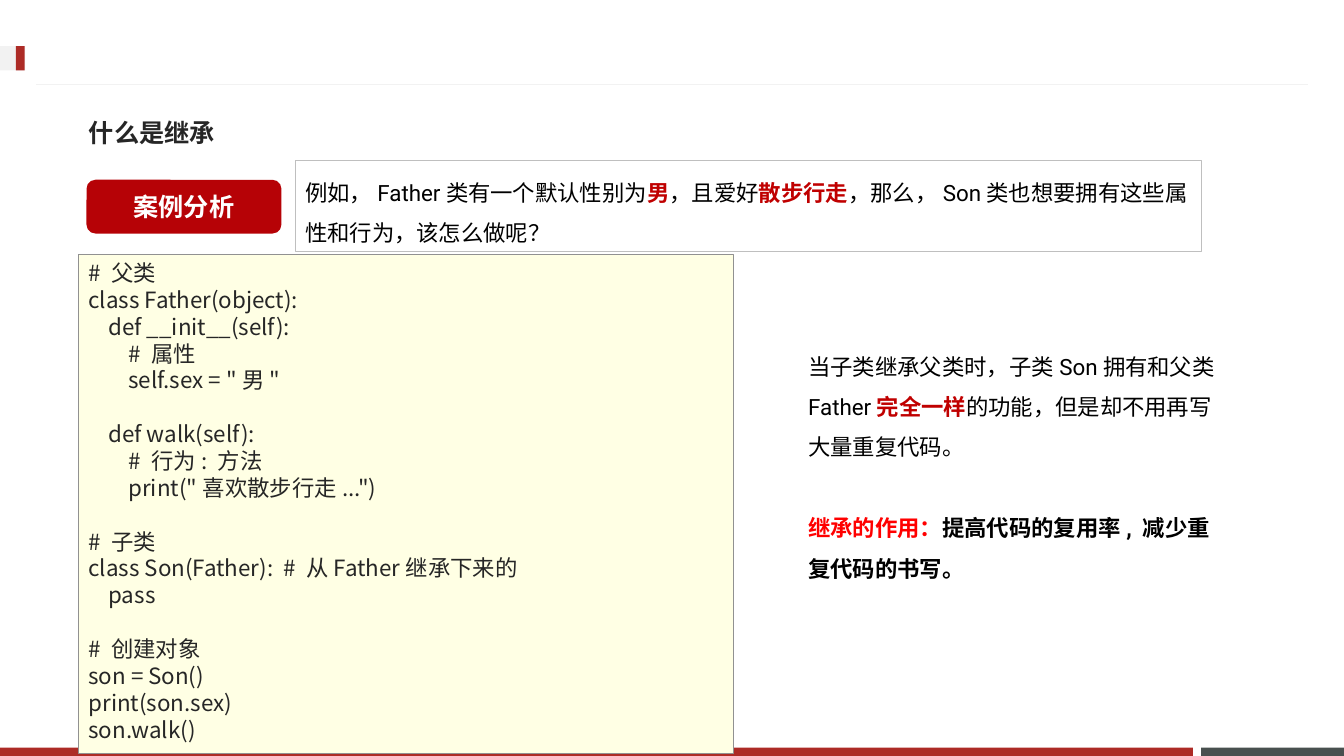
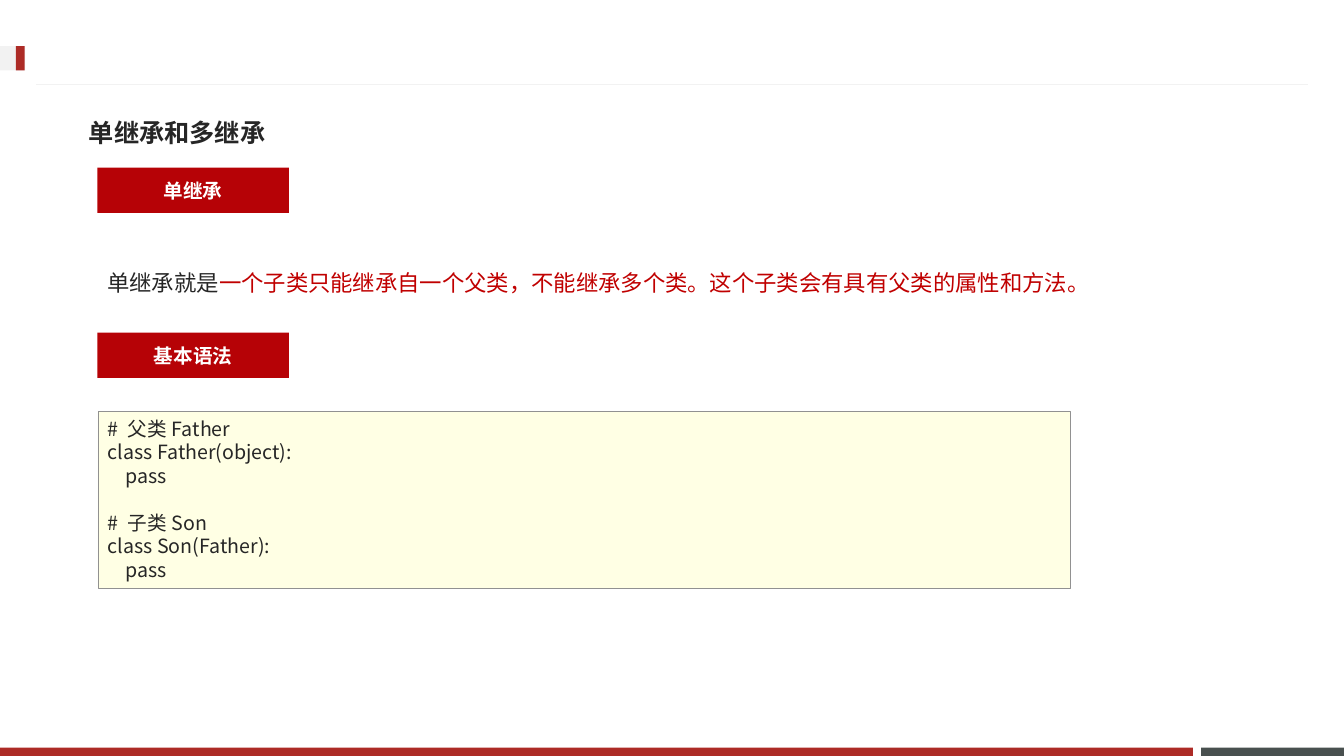
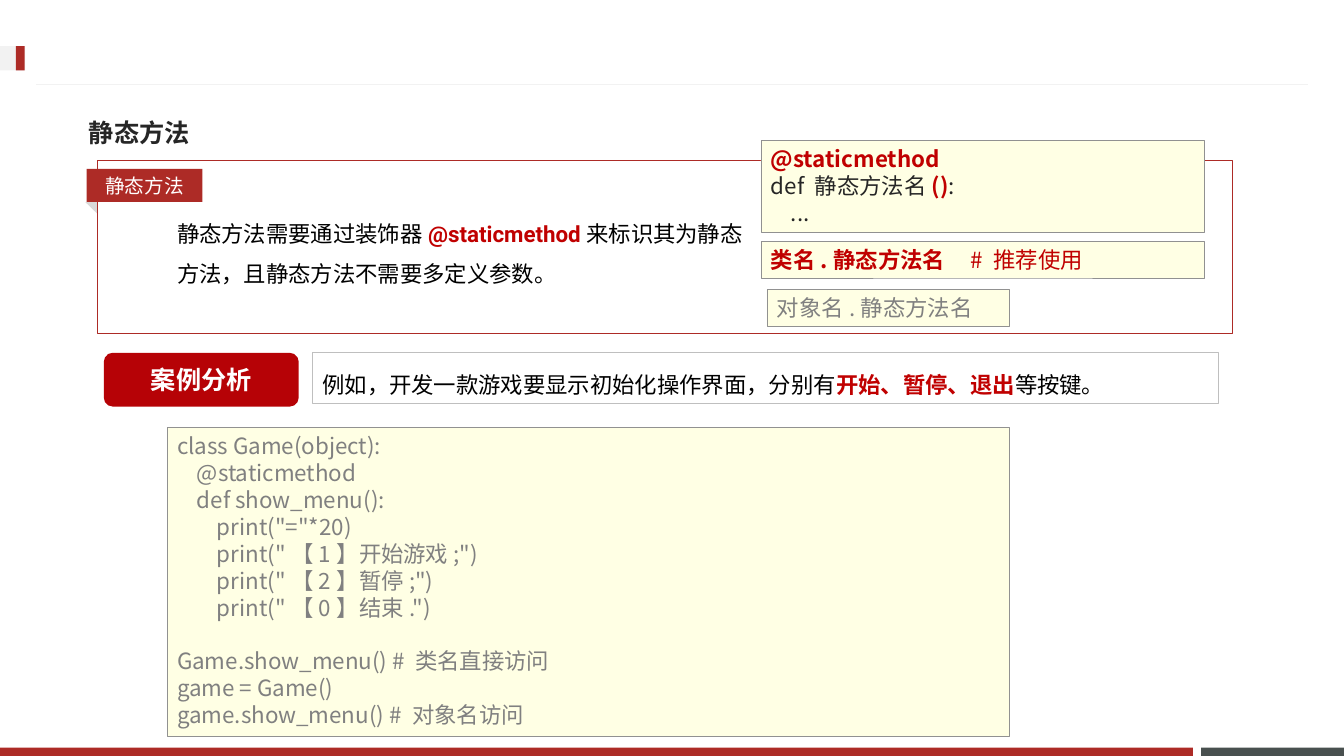
from dataclasses import dataclass
from typing import NamedTuple

from lxml import etree
from pptx import Presentation
from pptx import util as u
from pptx.dml.color import RGBColor
from pptx.enum import shapes, text
from pptx.oxml.ns import qn

# Grid: 160 columns by 90 rows cover the slide
CELL = u.Inches(1) / 12
COLUMNS, ROWS = 160, 90

CJK_FONT = "Noto Sans CJK JP"
LATIN_FONT = "Roboto"

BAND_RED = RGBColor(0xAD, 0x2B, 0x26)
LABEL_RED = RGBColor(0xB6, 0x02, 0x06)
ACCENT_RED = RGBColor(0xC0, 0x00, 0x00)
BRIGHT_RED = RGBColor(0xFF, 0x00, 0x00)
SLATE = RGBColor(0x49, 0x50, 0x4F)
PALE = RGBColor(0xF2, 0xF2, 0xF2)
FOLD_GRAY = RGBColor(0xD9, 0xD9, 0xD9)
BRIEF_LINE = RGBColor(0xBF, 0xBF, 0xBF)
CODE_FILL = RGBColor(0xFF, 0xFF, 0xE4)
CODE_LINE = RGBColor(0x91, 0x91, 0x91)
DARK = RGBColor(0x26, 0x26, 0x26)
GRAY = RGBColor(0x80, 0x80, 0x80)
BLACK = RGBColor(0x00, 0x00, 0x00)
WHITE = RGBColor(0xFF, 0xFF, 0xFF)

RECTANGLE = shapes.MSO_SHAPE.RECTANGLE
ROUNDED = shapes.MSO_SHAPE.ROUNDED_RECTANGLE
TRIANGLE = shapes.MSO_SHAPE.ISOSCELES_TRIANGLE


class Box(NamedTuple):
    """Place and size in grid columns and rows."""
    left: float
    top: float
    width: float
    height: float

    def lengths(self) -> list[u.Emu]:
        return [u.Emu(round(value * CELL)) for value in self]


class Span(NamedTuple):
    text: str
    color: RGBColor | None = None
    bold: bool | None = None


@dataclass(frozen=True)
class TextStyle:
    font: str
    size: float
    color: RGBColor
    bold: bool = False
    spacing: float = 1.0
    gap: float = 0
    align: text.PP_ALIGN = text.PP_ALIGN.LEFT
    anchor: text.MSO_ANCHOR = text.MSO_ANCHOR.TOP


@dataclass(frozen=True)
class Outline:
    color: RGBColor
    width: float


TITLE = TextStyle(CJK_FONT, 18, DARK, bold=True, anchor=text.MSO_ANCHOR.MIDDLE)
BODY = TextStyle(LATIN_FONT, 16, BLACK, spacing=1.5, gap=29)
DEFINITION = TextStyle(CJK_FONT, 16, DARK, spacing=1.5)
CODE = TextStyle(CJK_FONT, 16, DARK)
SMALL_CODE = TextStyle(CJK_FONT, 14, DARK)
GRAY_CODE = TextStyle(CJK_FONT, 16, GRAY)
CENTERED = {"align": text.PP_ALIGN.CENTER, "anchor": text.MSO_ANCHOR.MIDDLE}
BADGE = TextStyle(LATIN_FONT, 18, WHITE, bold=True, **CENTERED)
TAG = TextStyle(LATIN_FONT, 14, WHITE, bold=True, **CENTERED)
RIBBON = TextStyle(LATIN_FONT, 14, WHITE, **CENTERED)

Paragraphs = list[list[Span]]


# Text
def lines(content: str) -> Paragraphs:
    return [[Span(line)] if line else [] for line in content.split("\n")]


def write(shape, paragraphs: Paragraphs, style: TextStyle) -> None:
    frame = shape.text_frame
    frame.word_wrap = True
    frame.vertical_anchor = style.anchor
    frame.text = "\n" * (len(paragraphs) - 1)
    for index, (paragraph, spans) in enumerate(zip(frame.paragraphs, paragraphs)):
        paragraph.alignment = style.align
        paragraph.line_spacing = style.spacing
        if index and style.gap:
            paragraph.space_before = u.Pt(style.gap)
        for span in spans:
            run = paragraph.add_run()
            run.text = span.text
            font = run.font
            font.size = u.Pt(style.size)
            font.bold = style.bold if span.bold is None else span.bold
            font.color.rgb = span.color or style.color
            font.name = style.font
            etree.SubElement(run._r.get_or_add_rPr(), qn("a:ea"), typeface=CJK_FONT)
        if not spans:
            ending = etree.SubElement(paragraph._p, qn("a:endParaRPr"),
                                      sz=str(style.size * 100))
            for script in ("a:latin", "a:ea"):
                etree.SubElement(ending, qn(script), typeface=CJK_FONT)


def add_text(slide, box: Box, paragraphs: Paragraphs, style: TextStyle) -> None:
    write(slide.shapes.add_textbox(*box.lengths()), paragraphs, style)


# Shapes
def add_block(slide, box: Box, fill: RGBColor | None = None,
              outline: Outline | None = None,
              kind: shapes.MSO_SHAPE = RECTANGLE):
    shape = slide.shapes.add_shape(kind, *box.lengths())
    shape.shadow.inherit = False
    if fill is None:
        shape.fill.background()
    else:
        shape.fill.solid()
        shape.fill.fore_color.rgb = fill
    if outline is None:
        shape.line.fill.background()
    else:
        shape.line.color.rgb = outline.color
        shape.line.width = u.Pt(outline.width)
    return shape


def add_code(slide, box: Box, paragraphs: Paragraphs, style: TextStyle = CODE) -> None:
    write(add_block(slide, box, CODE_FILL, Outline(CODE_LINE, 0.25)), paragraphs, style)


def add_tag(slide, top: float, label: str) -> None:
    write(add_block(slide, Box(11.6, top, 22.8, 5.4), LABEL_RED), lines(label), TAG)


def add_case(slide, left: float, badge_top: float, brief_top: float,
             brief_height: float, spans: list[Span]) -> None:
    """Case badge with the outlined brief to its right."""
    badge = add_block(slide, Box(left, badge_top, 23.2, 6.4), LABEL_RED, kind=ROUNDED)
    write(badge, lines("案例分析"), BADGE)
    brief = add_block(slide, Box(left + 24.84, brief_top, 107.9, brief_height),
                      outline=Outline(BRIEF_LINE, 0.75))
    write(brief, [spans], BODY)


def add_page(presentation, title: str):
    """Blank slide with the shared bands, rule, marker and title."""
    slide = presentation.slides.add_slide(presentation.slide_layouts[6])
    for box, fill in (
        (Box(143, 89, 17, 1), SLATE),
        (Box(0, 89, 142, 1), BAND_RED),
        (Box(0, 5.5, 3, 2.9), PALE),
        (Box(1.9, 5.5, 1.05, 2.9), BAND_RED),
    ):
        add_block(slide, box, fill)
    start, rule_top, end, _ = Box(4.3, 10.05, 155.7, 0).lengths()
    rule = slide.shapes.add_connector(shapes.MSO_CONNECTOR.STRAIGHT,
                                      start, rule_top, end, rule_top)
    rule.line.color.rgb = PALE
    rule.line.width = u.Pt(0.75)
    etree.SubElement(rule._element.spPr, qn("a:effectLst"))
    add_text(slide, Box(9.4, 12.4, 140.4, 6.8), lines(title), TITLE)
    return slide


# Slides
INHERITANCE_CODE = '''# 父类
class Father(object):
    def __init__(self):
        # 属性
        self.sex = "男"

    def walk(self):
        # 行为: 方法
        print("喜欢散步行走...")

# 子类
class Son(Father):  # 从Father继承下来的
    pass

# 创建对象
son = Son()
print(son.sex)
son.walk()'''

SINGLE_CODE = '''# 父类Father
class Father(object):
    pass

# 子类Son
class Son(Father):
    pass'''

GAME_CODE = '''class Game(object):
    @staticmethod
    def show_menu():
        print("="*20)
        print("【1】开始游戏;")
        print("【2】暂停;")
        print("【0】结束.")

Game.show_menu() # 类名直接访问
game = Game()
game.show_menu() # 对象名访问'''


def add_inheritance(presentation) -> None:
    slide = add_page(presentation, "什么是继承")
    add_case(slide, 10.3, 21.4, 19.1, 10.9, [
        Span("例如，Father类有一个默认性别为"),
        Span("男", ACCENT_RED, True),
        Span("，且爱好"),
        Span("散步行走", ACCENT_RED, True),
        Span("，那么，Son类也想要拥有这些属性和行为，该怎么做呢？"),
    ])
    add_code(slide, Box(9.36, 30.25, 77.9, 59.4), lines(INHERITANCE_CODE))
    add_text(slide, Box(95.04, 39.84, 50.76, 29.9), [
        [Span("当子类继承父类时，子类Son拥有和父类Father"),
         Span("完全一样", ACCENT_RED, True),
         Span("的功能，但是却不用再写大量重复代码。")],
        [Span("继承的作用：", BRIGHT_RED, True),
         Span("提高代码的复用率, 减少重复代码的书写。", bold=True)],
    ], BODY)


def add_single_inheritance(presentation) -> None:
    slide = add_page(presentation, "单继承和多继承")
    add_tag(slide, 19.95, "单继承")
    add_text(slide, Box(11.6, 29.8, 125.2, 6.8), [[
        Span("单继承就是"),
        Span("一个子类只能继承自一个父类，不能继承多个类。这个子类会有具有父类的属性和方法。",
             ACCENT_RED),
    ]], DEFINITION)
    add_tag(slide, 39.6, "基本语法")
    add_code(slide, Box(11.65, 49, 115.8, 21), lines(SINGLE_CODE), SMALL_CODE)


def add_static_method(presentation) -> None:
    slide = add_page(presentation, "静态方法")

    # Definition panel with folded ribbon
    fold = add_block(slide, Box(10.3, 23.8, 1.9, 1.1), FOLD_GRAY, kind=TRIANGLE)
    fold.rotation = 44.2
    add_block(slide, Box(11.55, 19.1, 135.2, 20.6), outline=Outline(BAND_RED, 0.75))
    ribbon = add_block(slide, Box(10.3, 20.1, 13.8, 3.95), BAND_RED)
    write(ribbon, lines("静态方法"), RIBBON)
    add_text(slide, Box(19.9, 24, 70.1, 10.9), [[
        Span("静态方法需要通过装饰器"),
        Span("@staticmethod", ACCENT_RED, True),
        Span("来标识其为静态方法，且静态方法不需要多定义参数。"),
    ]], BODY)

    # Syntax boxes
    add_code(slide, Box(90.6, 16.7, 52.8, 10.9), [
        [Span("@staticmethod", ACCENT_RED, True)],
        [Span("def 静态方法名"), Span("()", ACCENT_RED, True), Span(":")],
        [Span("    ...")],
    ])
    add_code(slide, Box(90.6, 28.7, 52.8, 4.4), [
        [Span("类名.静态方法名", ACCENT_RED, True), Span("    # 推荐使用", ACCENT_RED)],
    ])
    add_code(slide, Box(91.3, 34.45, 28.9, 4.4), lines("对象名.静态方法名"), GRAY_CODE)

    # Case
    add_case(slide, 12.36, 42, 42, 6, [
        Span("例如，开发一款游戏要显示初始化操作界面，分别有"),
        Span("开始、暂停、退出", ACCENT_RED, True),
        Span("等按键。"),
    ])
    add_code(slide, Box(19.9, 50.9, 100.3, 36.75), lines(GAME_CODE), GRAY_CODE)


def main() -> None:
    presentation = Presentation()
    presentation.slide_width = u.Emu(round(COLUMNS * CELL))
    presentation.slide_height = u.Emu(round(ROWS * CELL))
    add_inheritance(presentation)
    add_single_inheritance(presentation)
    add_static_method(presentation)
    presentation.save("out.pptx")


if __name__ == "__main__":
    main()
